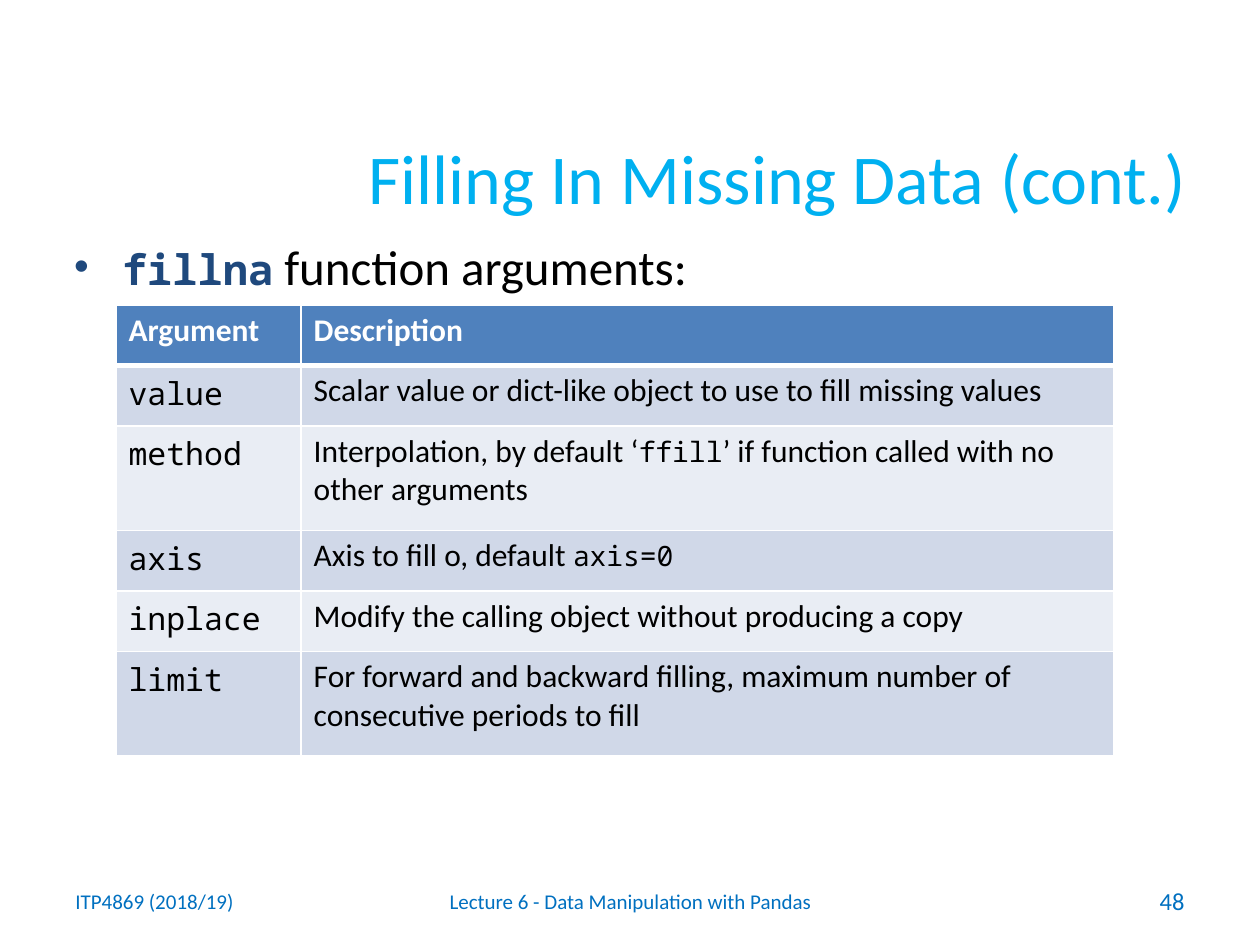
from lxml.etree import SubElement
from pptx import Presentation
from pptx.dml.color import RGBColor
from pptx.enum.text import MSO_ANCHOR as Anchor, PP_ALIGN as Align
from pptx.oxml.ns import qn
from pptx.util import Inches, Pt

SANS, MONO = "Calibri", "Noto Sans Mono"
SKY = RGBColor(0x00, 0xB0, 0xF0)
NAVY = RGBColor(0x1F, 0x49, 0x7D)
FOOTER_BLUE = RGBColor(0x00, 0x70, 0xC0)
BLACK = RGBColor(0x00, 0x00, 0x00)
WHITE = RGBColor(0xFF, 0xFF, 0xFF)
HEADER_BLUE = RGBColor(0x4F, 0x81, 0xBD)
BANDS = (RGBColor(0xE9, 0xED, 0xF4), RGBColor(0xD0, 0xD8, 0xE8))

HEADER = {"name": SANS, "size": Pt(18), "bold": True, "color": WHITE}
PROSE = HEADER | {"bold": False, "color": BLACK}
CODE = PROSE | {"name": MONO}
INLINE_CODE = CODE | {"size": Pt(16)}
TITLE = PROSE | {"size": Pt(40), "color": SKY}
BULLET = PROSE | {"size": Pt(28)}
FUNCTION = CODE | {"size": Pt(24), "bold": True, "color": NAVY}
FOOTER = PROSE | {"size": Pt(12), "color": FOOTER_BLUE}
PAGE = FOOTER | {"size": Pt(14)}

COLUMN_WIDTHS = (1.47, 6.45)
SINGLE, DOUBLE = 0.48, 0.83
ARGUMENTS = [
    (SINGLE, "value", [("Scalar value or dict-like object to use to fill missing values", PROSE)]),
    (DOUBLE, "method", [("Interpolation, by default ‘", PROSE), ("ffill", INLINE_CODE),
                        ("’ if function called with no other arguments", PROSE)]),
    (SINGLE, "axis", [("Axis to fill o, default ", PROSE), ("axis=0", INLINE_CODE)]),
    (SINGLE, "inplace", [("Modify the calling object without producing a copy", PROSE)]),
    (DOUBLE, "limit", [("For forward and backward filling, maximum number of "
                        "consecutive periods to fill", PROSE)]),
]


def write_runs(paragraph, runs):
    """Append formatted (text, format) runs to a paragraph."""
    for text, style in runs:
        run = paragraph.add_run()
        run.text = text
        for key, value in style.items():
            if key == "color":
                run.font.color.rgb = value
            else:
                setattr(run.font, key, value)


def add_text(slide, box, runs, align=Align.LEFT, anchor=Anchor.MIDDLE):
    """Add a wrapped one-paragraph text box and return the paragraph."""
    frame = slide.shapes.add_textbox(*map(Inches, box)).text_frame
    frame.word_wrap = True
    frame.vertical_anchor = anchor
    paragraph = frame.paragraphs[0]
    paragraph.alignment = align
    write_runs(paragraph, runs)
    return paragraph


def add_bullet(paragraph, indent):
    """Give a paragraph a hanging bullet."""
    paragraph.space_before = Pt(3)
    properties = paragraph._p.get_or_add_pPr()
    properties.set("marL", str(Inches(indent)))
    properties.set("indent", str(-Inches(indent)))
    SubElement(properties, qn("a:buFont"), typeface="Arial")
    SubElement(properties, qn("a:buChar"), char="•")


def fill_cell(cell, runs, fill, top=1, bottom=1):
    """Write a cell with white borders and a solid fill."""
    write_runs(cell.text_frame.paragraphs[0], runs)
    properties = cell._tc.get_or_add_tcPr()
    for side, width in {"L": 1, "R": 1, "T": top, "B": bottom}.items():
        line = SubElement(properties, qn(f"a:ln{side}"), w=str(Pt(width)))
        SubElement(SubElement(line, qn("a:solidFill")), qn("a:srgbClr"), val=str(WHITE))
    cell.fill.solid()
    cell.fill.fore_color.rgb = fill


def add_argument_table(slide):
    """Add the table of function arguments."""
    heights = [SINGLE] + [height for height, _, _ in ARGUMENTS]
    table = slide.shapes.add_table(
        len(heights), len(COLUMN_WIDTHS), Inches(0.92), Inches(2.42),
        Inches(sum(COLUMN_WIDTHS)), Inches(sum(heights))).table
    for column, width in zip(table.columns, COLUMN_WIDTHS):
        column.width = Inches(width)
    for row, height in zip(table.rows, heights):
        row.height = Inches(height)
    for column, heading in enumerate(("Argument", "Description")):
        fill_cell(table.cell(0, column), [(heading, HEADER)], HEADER_BLUE, bottom=3)
    for row, (_, argument, description) in enumerate(ARGUMENTS, 1):
        for column, runs in enumerate(([(argument, CODE)], description)):
            fill_cell(table.cell(row, column), runs, BANDS[row % 2], top=3 if row == 1 else 1)


def main():
    """Build and save the slide."""
    deck = Presentation()
    deck.slide_width, deck.slide_height = Inches(10), Inches(7.5)
    slide = deck.slides.add_slide(deck.slide_layouts[6])
    add_text(slide, (0.49, 0.86, 9.02, 1.08),
             [("Filling In Missing Data (cont.)", TITLE)], Align.RIGHT)
    topic = add_text(slide, (0.49, 1.83, 9.02, 5.26),
                     [("fillna", FUNCTION), (" function arguments:", BULLET)], anchor=Anchor.TOP)
    add_bullet(topic, 0.38)
    add_text(slide, (3.42, 6.95, 3.17, 0.4),
             [("Lecture 6 - Data Manipulation with Pandas", FOOTER)], Align.CENTER)
    add_text(slide, (7.17, 6.95, 2.33, 0.4), [("48", PAGE)], Align.RIGHT)
    add_argument_table(slide)
    add_text(slide, (0.5, 6.95, 2.33, 0.4), [("ITP4869 (2018/19)", FOOTER)])
    deck.save("out.pptx")


if __name__ == "__main__":
    main()
